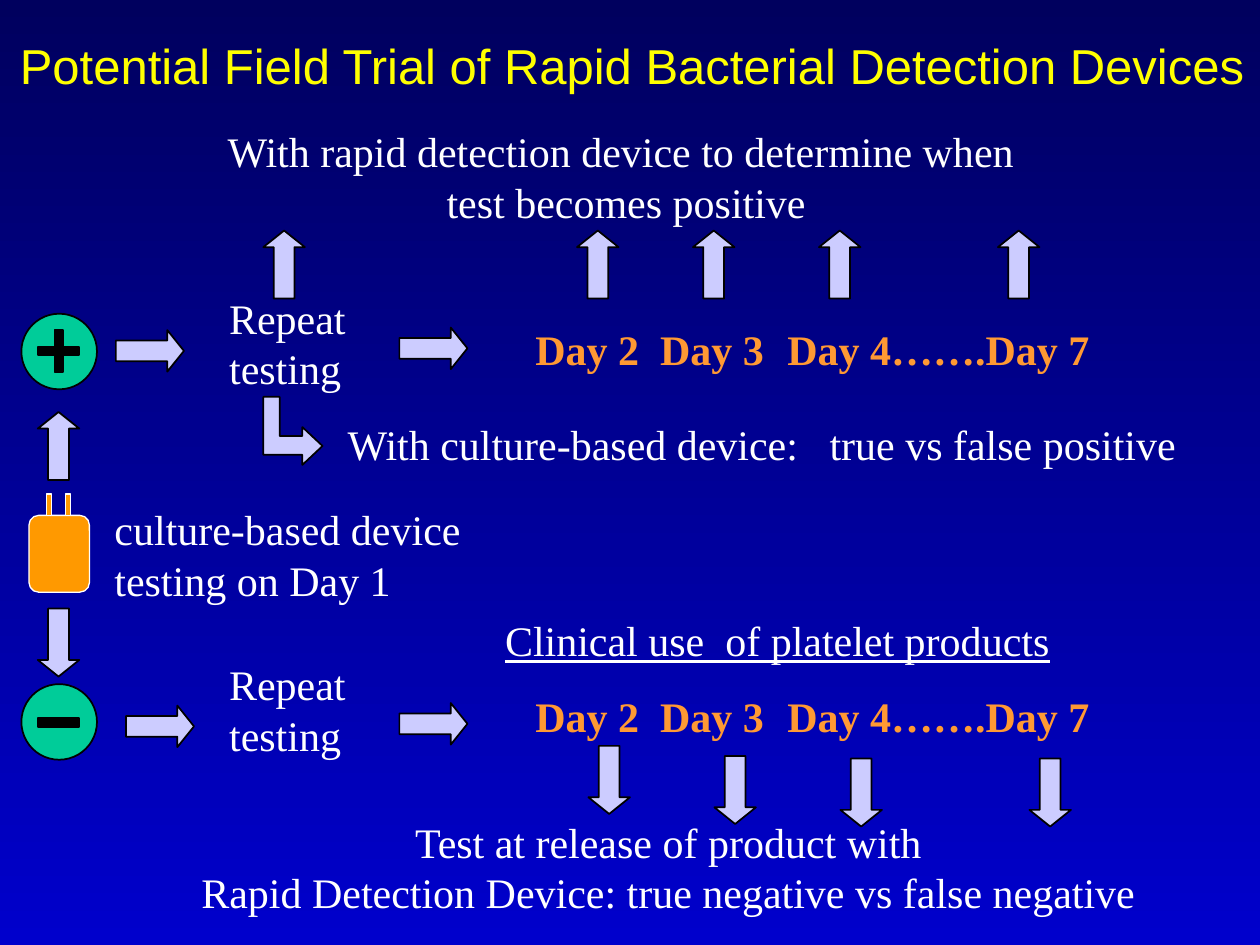
from pptx import Presentation
from pptx.dml.color import RGBColor
from pptx.enum.shapes import MSO_SHAPE
from pptx.enum.text import MSO_ANCHOR, PP_ALIGN
from pptx.util import Inches, Pt

UP, DOWN, RIGHT = MSO_SHAPE.UP_ARROW, MSO_SHAPE.DOWN_ARROW, MSO_SHAPE.RIGHT_ARROW
RECT, ROUNDED = MSO_SHAPE.RECTANGLE, MSO_SHAPE.ROUNDED_RECTANGLE
OVAL, CROSS = MSO_SHAPE.OVAL, MSO_SHAPE.CROSS
LEFT, CENTER = PP_ALIGN.LEFT, PP_ALIGN.CENTER
TOP = MSO_ANCHOR.TOP

NAVY = RGBColor(0x00, 0x00, 0x5E)
BLUE = RGBColor(0x00, 0x00, 0xCC)
WHITE = RGBColor(0xFF, 0xFF, 0xFF)
BLACK = RGBColor(0x00, 0x00, 0x00)
YELLOW = RGBColor(0xFF, 0xFF, 0x00)
ORANGE = RGBColor(0xFF, 0x99, 0x00)
DAY_ORANGE = RGBColor(0xFF, 0x99, 0x33)
GREEN = RGBColor(0x00, 0xCC, 0x99)
LAVENDER = RGBColor(0xCC, 0xCC, 0xFF)

BODY = {"name": "Times New Roman", "size": Pt(24)}
PLAIN = {**BODY, "color": WHITE}
DAYS = {**BODY, "color": DAY_ORANGE, "bold": True}
UNDERLINED = {**PLAIN, "underline": True}
TITLE = {"name": "Arial", "size": Pt(28), "color": YELLOW}

REPEAT = ["Repeat", "testing"]
DAY_ROW = ["Day 2  Day 3\tDay 4…….Day 7"]

TEXTS = [
    (["Potential Field Trial of Rapid Bacterial Detection Devices"],
     (0.06, 0.23, 9.94, 0.57), LEFT, TITLE),
    (["With rapid detection device to determine when ", "test becomes positive"],
     (1.7, 0.95, 6.54, 0.9), CENTER, PLAIN),
    (REPEAT, (1.72, 2.27, 1.21, 0.9), LEFT, PLAIN),
    (DAY_ROW, (4.15, 2.52, 4.6, 0.5), LEFT, DAYS),
    (["With culture-based device:   true vs false positive"],
     (2.66, 3.27, 6.79, 0.5), LEFT, PLAIN),
    (["culture-based device", "testing on Day 1"],
     (0.81, 3.95, 3.03, 0.9), LEFT, PLAIN),
    (["Clinical use  of platelet products"],
     (3.91, 4.83, 4.52, 0.5), LEFT, UNDERLINED),
    (REPEAT, (1.72, 5.18, 1.21, 0.9), LEFT, PLAIN),
    (DAY_ROW, (4.15, 5.43, 4.6, 0.5), LEFT, DAYS),
    (["Test at release of product with",
      "Rapid Detection Device: true negative vs false negative"],
     (1.4, 6.43, 7.81, 0.9), CENTER, PLAIN),
]

ARROW_LENGTH, ARROW_WIDTH = 0.54, 0.33
ARROWS = {
    UP: [(0.3, 3.27)] + [(left, 1.83) for left in (2.09, 4.58, 5.5, 6.5, 7.92)],
    DOWN: [(0.3, 4.83), (4.67, 5.92), (5.67, 6), (6.67, 6.02), (8.17, 6.02)],
    RIGHT: [(0.92, 2.62), (3.17, 2.6), (1, 5.6), (3.17, 5.58)],
}
BENT_ARROW = [(2.22, 3.15), (2.22, 3.46), (2.4, 3.46), (2.4, 3.39), (2.56, 3.54),
              (2.4, 3.69), (2.4, 3.61), (2.09, 3.61), (2.09, 3.15)]

ICONS = [
    [(ROUNDED, (0.23, 4.09, 0.48, 0.61), ORANGE, WHITE, 0.75, [0.16]),
     (RECT, (0.37, 3.92, 0.04, 0.17), ORANGE, WHITE, 0.75, []),
     (RECT, (0.52, 3.92, 0.04, 0.17), ORANGE, WHITE, 0.75, [])],
    [(OVAL, (0.17, 2.49, 0.6, 0.6), GREEN, BLACK, 1, []),
     (CROSS, (0.3, 2.62, 0.33, 0.33), BLACK, BLACK, 1, [0.4])],
    [(OVAL, (0.17, 5.43, 0.6, 0.6), GREEN, BLACK, 1, []),
     (RECT, (0.3, 5.7, 0.33, 0.07), BLACK, BLACK, 1, [])],
]


def paint(shape, fill, line, weight):
    shape.shadow.inherit = False
    shape.fill.solid()
    shape.fill.fore_color.rgb = fill
    shape.line.color.rgb = line
    shape.line.width = Pt(weight)


def add_preset(shapes, preset, box, fill, line, weight, adjustments):
    shape = shapes.add_shape(preset, *map(Inches, box))
    for index, value in enumerate(adjustments):
        shape.adjustments[index] = value
    paint(shape, fill, line, weight)


def add_text(shapes, lines, box, alignment, style):
    frame = shapes.add_textbox(*map(Inches, box)).text_frame
    frame.word_wrap = False
    frame.vertical_anchor = TOP
    for index, line in enumerate(lines):
        paragraph = frame.add_paragraph() if index else frame.paragraphs[0]
        paragraph.alignment = alignment
        run = paragraph.add_run()
        run.text = line
        for attribute, value in style.items():
            if attribute == "color":
                run.font.color.rgb = value
            else:
                setattr(run.font, attribute, value)


def main():
    deck = Presentation()
    deck.slide_width, deck.slide_height = Inches(10), Inches(7.5)
    slide = deck.slides.add_slide(deck.slide_layouts[6])
    backdrop = slide.background.fill
    backdrop.gradient()
    backdrop.gradient_angle = 270
    for stop, position, color in zip(backdrop.gradient_stops, (0, 1), (NAVY, BLUE)):
        stop.position = position
        stop.color.rgb = color

    for parts in ICONS:
        icon = slide.shapes.add_group_shape()
        for part in parts:
            add_preset(icon.shapes, *part)

    for direction, corners in ARROWS.items():
        size = (ARROW_LENGTH, ARROW_WIDTH) if direction == RIGHT else (ARROW_WIDTH, ARROW_LENGTH)
        for corner in corners:
            add_preset(slide.shapes, direction, corner + size, LAVENDER, BLACK, 1, [0.5, 0.4])

    start, *corners = [tuple(map(Inches, point)) for point in BENT_ARROW]
    outline = slide.shapes.build_freeform(*start)
    outline.add_line_segments(corners, close=True)
    paint(outline.convert_to_shape(), LAVENDER, BLACK, 1)

    for text in TEXTS:
        add_text(slide.shapes, *text)

    deck.save("out.pptx")


if __name__ == "__main__":
    main()
